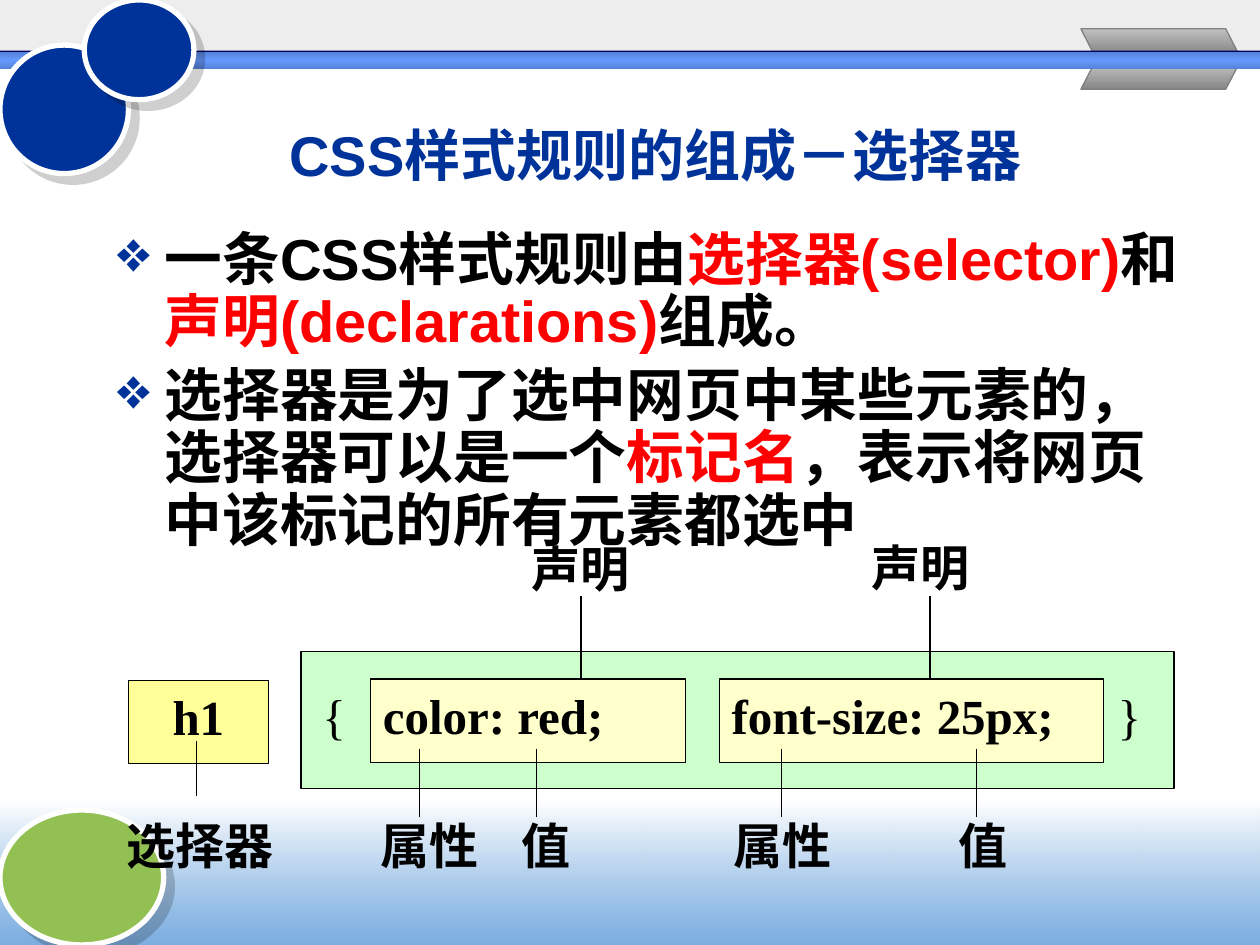
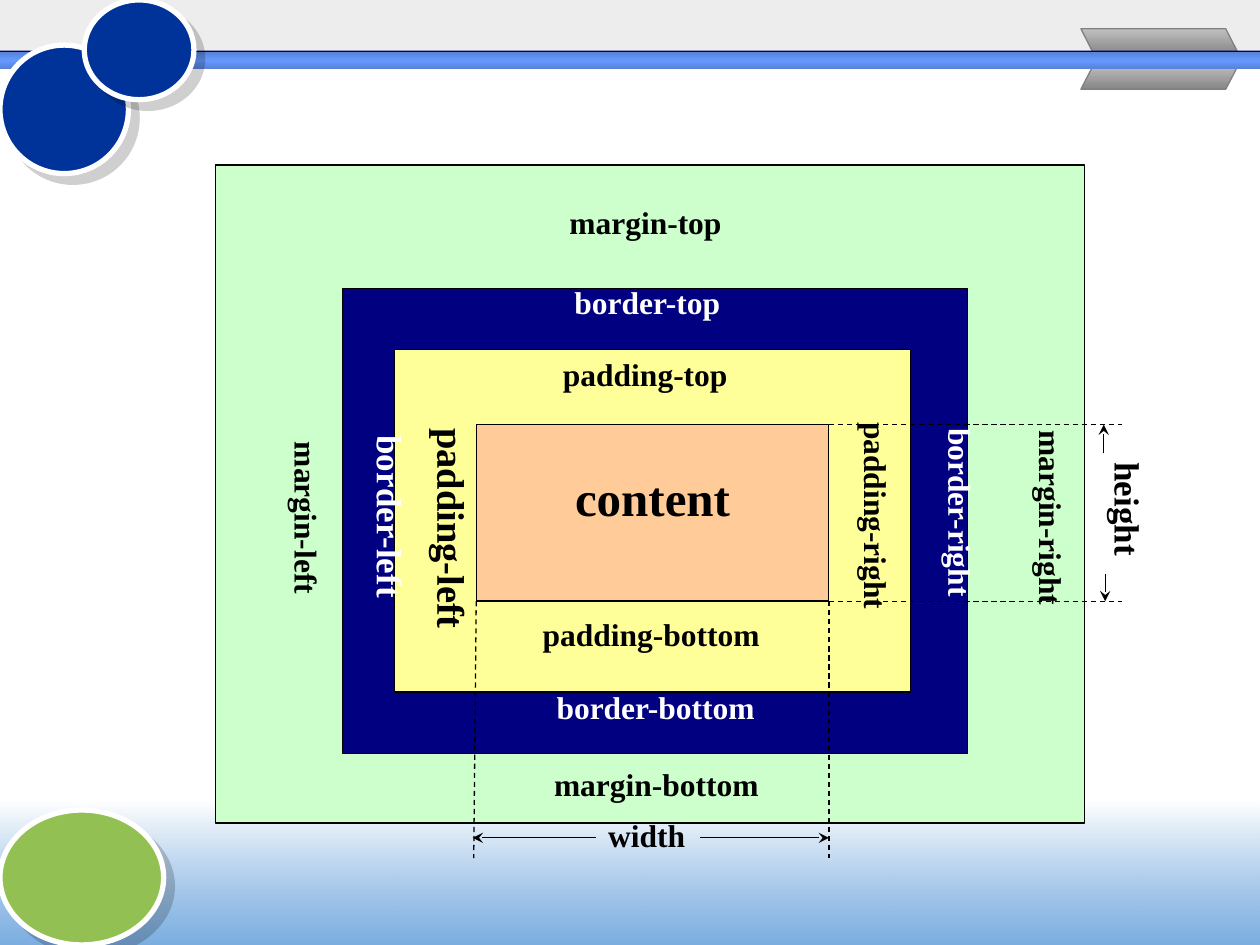
import lxml.etree
import pptx
import pptx.dml.color
import pptx.enum.dml
import pptx.enum.shapes
import pptx.enum.text
import pptx.oxml.ns
import pptx.util

Cm = pptx.util.Cm
Pt = pptx.util.Pt
SHAPES = pptx.enum.shapes.MSO_SHAPE
ALIGN = pptx.enum.text.PP_ALIGN
ANCHOR = pptx.enum.text.MSO_ANCHOR

COLOURS = {
    "black": "000000", "white": "FFFFFF", "red": "FF0000", "blue": "003399",
    "navy": "000080", "green": "93C052", "header": "EAEAEA", "sky": "5E9CDA",
    "stripe_base": "000066", "stripe_edge": "5580D5", "stripe_middle": "6699FF",
    "silver": "C0C0C0", "steel": "868686", "grey": "808080",
    "mint": "CCFFCC", "cream": "FFFFCC", "yellow": "FFFF99", "peach": "FFCC99",
}
SLIDE_WIDTH, SLIDE_HEIGHT = 25.4, 19.05
TITLE = {"name": "Arial", "size": Pt(32), "bold": True}
BODY = {"name": "Arial", "size": Pt(33), "bold": True}
CODE = {"name": "Times New Roman", "size": Pt(28), "bold": True}
SMALL = {**CODE, "size": Pt(18)}


def rgb(colour):
    return pptx.dml.color.RGBColor.from_string(COLOURS[colour])


def add_xml(parent, tag, **attributes):
    element = lxml.etree.SubElement(parent, pptx.oxml.ns.qn(tag))
    for name, value in attributes.items():
        element.set(name, str(value))
    return element


def add_colour(parent, colour, opacity=100):
    element = add_xml(parent, "a:srgbClr", val=COLOURS[colour])
    if opacity < 100:
        add_xml(element, "a:alpha", val=opacity * 1000)


def set_gradient(shape, stops):
    """Fill from top to bottom; stops are (position, colour, opacity) in percent."""
    shape.fill.gradient()
    shape.fill.gradient_angle = 270
    stop_list = shape._element.spPr.find(".//" + pptx.oxml.ns.qn("a:gsLst"))
    for old_stop in list(stop_list):
        stop_list.remove(old_stop)
    for position, colour, opacity in stops:
        add_colour(add_xml(stop_list, "a:gs", pos=position * 1000), colour, opacity)


def style_shape(shape, fill, line=None, line_width=0.75):
    """Fill with a colour name or a list of gradient stops."""
    shape.shadow.inherit = False
    if isinstance(fill, list):
        set_gradient(shape, fill)
    else:
        shape.fill.solid()
        shape.fill.fore_color.rgb = rgb(fill)
    if line:
        shape.line.color.rgb = rgb(line)
        shape.line.width = Pt(line_width)
    else:
        shape.line.fill.background()


def add_box(slide, bounds, fill, line=None):
    shape = slide.shapes.add_shape(SHAPES.RECTANGLE, *map(Cm, bounds))
    style_shape(shape, fill, line)
    return shape


def add_circle(slide, bounds, fill):
    """White-rimmed ellipse with a hard shadow to the lower right."""
    shape = slide.shapes.add_shape(SHAPES.OVAL, *map(Cm, bounds))
    style_shape(shape, fill, "white", 3)
    effects = shape._element.spPr.find(pptx.oxml.ns.qn("a:effectLst"))
    shadow = add_xml(effects, "a:outerShdw", blurRad=0, dist=Pt(7.1),
                     dir=45 * 60000, algn="ctr", rotWithShape=0)
    add_colour(shadow, "black", 19)


def add_chevron(slide, outer_y, inner_y):
    """Half of the grey tab, slanting from its outer edge to the stripe."""
    corners = [(24.71, outer_y), (24.97, inner_y), (22.05, inner_y), (21.79, outer_y)]
    points = [(Cm(x), Cm(y)) for x, y in corners]
    builder = slide.shapes.build_freeform(*points[0])
    builder.add_line_segments(points[1:], close=True)
    style_shape(builder.convert_to_shape(),
                [(0, "silver", 100), (100, "steel", 100)], "grey")


def add_decoration(slide):
    header = add_box(slide, (0, 0, SLIDE_WIDTH, 1.32), "header")
    colour = header._element.spPr.find(".//" + pptx.oxml.ns.qn("a:srgbClr"))
    add_xml(colour, "a:alpha", val=81000)
    add_box(slide, (0, 16.13, SLIDE_WIDTH, 2.92),
            [(0, "white", 100), (100, "sky", 81)])
    add_chevron(slide, 0.58, 1.09)
    add_chevron(slide, 1.8, 1.3)
    add_circle(slide, (0, 16.33, 3.3, 2.72), "green")
    add_box(slide, (0, 1.02, SLIDE_WIDTH, 0.36), "stripe_base")
    add_box(slide, (0, 1.04, SLIDE_WIDTH, 0.36),
            [(0, "stripe_edge", 100), (50, "stripe_middle", 100), (100, "stripe_edge", 100)])
    add_circle(slide, (0, 0.91, 2.59, 2.59), "blue")
    add_circle(slide, (1.7, 0, 2.21, 2.01), "blue")


def add_run(paragraph, text, formats, colour="black"):
    run = paragraph.add_run()
    run.text = text
    for name, value in formats.items():
        setattr(run.font, name, value)
    run.font.color.rgb = rgb(colour)


def write(shape, text, formats, colour="black", align=ALIGN.LEFT, anchor=ANCHOR.TOP):
    frame = shape.text_frame
    frame.word_wrap = True
    frame.vertical_anchor = anchor
    frame.paragraphs[0].alignment = align
    add_run(frame.paragraphs[0], text, formats, colour)


def add_label(slide, bounds, text, formats, colour="black", vertical=False, **layout):
    box = slide.shapes.add_textbox(*map(Cm, bounds))
    write(box, text, formats, colour, **layout)
    if vertical:
        box.text_frame._txBody.bodyPr.set("vert", "eaVert")


def add_bullets(slide, bounds, items):
    """Each item is a list of (text, colour) runs."""
    frame = slide.shapes.add_textbox(*map(Cm, bounds)).text_frame
    frame.word_wrap = True
    for index, runs in enumerate(items):
        paragraph = frame.add_paragraph() if index else frame.paragraphs[0]
        paragraph.line_spacing = 0.9
        paragraph.space_before = Pt(6.6)
        properties = paragraph._p.get_or_add_pPr()
        properties.set("marL", str(Cm(0.96)))
        properties.set("indent", str(-Cm(0.96)))
        add_colour(add_xml(properties, "a:buClr"), "blue")
        add_xml(properties, "a:buChar", char="❖")
        for text, colour in runs:
            add_run(paragraph, text, BODY, colour)


def add_line(slide, start, end, dashed=False, arrow=False):
    line = slide.shapes.add_connector(
        pptx.enum.shapes.MSO_CONNECTOR.STRAIGHT, *map(Cm, start + end))
    line.line.color.rgb = rgb("black")
    line.line.width = Pt(0.75)
    if dashed:
        line.line.dash_style = pptx.enum.dml.MSO_LINE.DASH
    if arrow:
        add_xml(line.line._get_or_add_ln(), "a:tailEnd", type="stealth")
    add_xml(line._element.spPr, "a:effectLst")


def build_rule_slide(slide):
    add_label(slide, (3.51, 2.13, 19.41, 1.96), "CSS样式规则的组成－选择器", TITLE,
              "blue", align=ALIGN.CENTER, anchor=ANCHOR.MIDDLE)
    add_bullets(slide, (2.11, 4.52, 22.4, 13.59), [
        [("一条CSS样式规则由", "black"), ("选择器(selector)", "red"), ("和", "black"),
         ("声明(declarations)", "red"), ("组成。", "black")],
        [("选择器是为了选中网页中某些元素的，选择器可以是一个", "black"),
         ("标记名", "red"), ("，表示将网页中该标记的所有元素都选中", "black")],
    ])

    selector = add_box(slide, (2.59, 13.72, 2.82, 1.68), "yellow", "black")
    write(selector, "h1", CODE, align=ALIGN.CENTER)
    add_box(slide, (6.07, 13.13, 17.6, 2.77), "mint", "black")
    for left, width, declaration in [(7.47, 6.35, "color: red;"),
                                     (14.5, 7.75, "font-size: 25px;")]:
        box = add_box(slide, (left, 13.69, width, 1.68), "cream", "black")
        write(box, declaration, CODE)
    for left, brace in [(6.25, "{"), (22.28, "}")]:
        add_label(slide, (left, 13.69, 0.71, 1.68), brace, {**CODE, "bold": False})

    add_line(slide, (3.96, 14.94), (3.96, 16.05))
    for x in (8.46, 10.82, 15.75, 19.69):
        add_line(slide, (x, 15.09), (x, 16.46))
    for x in (11.71, 18.75):
        add_line(slide, (x, 13.69), (x, 12.01))

    for left, top, width, text in [
        (2.31, 16.31, 3.53, "选择器"),
        (7.42, 16.31, 2.87, "属性"), (10.26, 16.31, 1.57, "值"),
        (14.53, 16.31, 2.87, "属性"), (19.08, 16.31, 1.57, "值"),
        (10.46, 10.74, 2.87, "声明"), (17.32, 10.72, 2.87, "声明"),
    ]:
        add_label(slide, (left, top, width, 1.68), text, CODE)


def build_box_model_slide(slide):
    for bounds, fill in [((4.34, 3.33, 17.53, 13.26), "mint"),
                         ((6.91, 5.82, 12.6, 9.37), "navy"),
                         ((7.95, 7.04, 10.41, 6.91), "yellow")]:
        add_box(slide, bounds, fill, "black")
    content = add_box(slide, (9.6, 8.56, 7.11, 3.56), "peach", "black")
    content.text_frame.margin_top = Cm(0.86)
    write(content, "content", CODE, align=ALIGN.CENTER)

    for left, top, width, text, colour in [
        (11.23, 3.96, 4.52, "margin-top", "black"),
        (11.33, 5.59, 4.52, "border-top", "white"),
        (11.1, 7.04, 4.52, "padding-top", "black"),
        (10.69, 12.27, 5.49, "padding-bottom", "black"),
        (10.97, 13.74, 4.93, "border-bottom", "white"),
        (10.92, 15.29, 5.51, "margin-bottom", "black"),
    ]:
        add_label(slide, (left, top, width, 2.03), text, SMALL, colour)
    for left, top, height, text, size, colour in [
        (4.52, 8.66, 4.6, "margin-left", 18, "black"),
        (6.25, 8.53, 4.6, "border-left", 20, "white"),
        (7.54, 8.38, 4.6, "padding-left", 22, "black"),
        (16, 8.26, 6.86, "padding-right", 18, "black"),
        (17.7, 8.38, 4.6, "border-right", 18, "white"),
        (19.53, 8.43, 4.6, "margin-right", 18, "black"),
    ]:
        add_label(slide, (left, top, 2.18, height), text,
                  {**CODE, "size": Pt(size)}, colour, vertical=True)

    for start, end in [((9.6, 12.12), (9.55, 17.3)), ((16.71, 12.12), (16.71, 17.3)),
                       ((16.71, 12.12), (22.61, 12.12)), ((16.71, 8.56), (22.61, 8.56))]:
        add_line(slide, start, end, dashed=True)
    for start, end in [((12.01, 16.89), (9.53, 16.89)), ((14.12, 16.89), (16.71, 16.89)),
                       ((22.25, 9.14), (22.25, 8.56)), ((22.28, 11.58), (22.28, 12.12))]:
        add_line(slide, start, end, arrow=True)
    add_label(slide, (12.01, 16.33, 2.82, 1.02), "width", SMALL)
    add_label(slide, (21.95, 9.07, 1.35, 3.53), "height",
              {**CODE, "size": Pt(20)}, vertical=True)


def main():
    presentation = pptx.Presentation()
    presentation.slide_width = Cm(SLIDE_WIDTH)
    presentation.slide_height = Cm(SLIDE_HEIGHT)
    for build_slide in (build_rule_slide, build_box_model_slide):
        slide = presentation.slides.add_slide(presentation.slide_layouts[6])
        add_decoration(slide)
        build_slide(slide)
    presentation.save("out.pptx")


if __name__ == "__main__":
    main()
